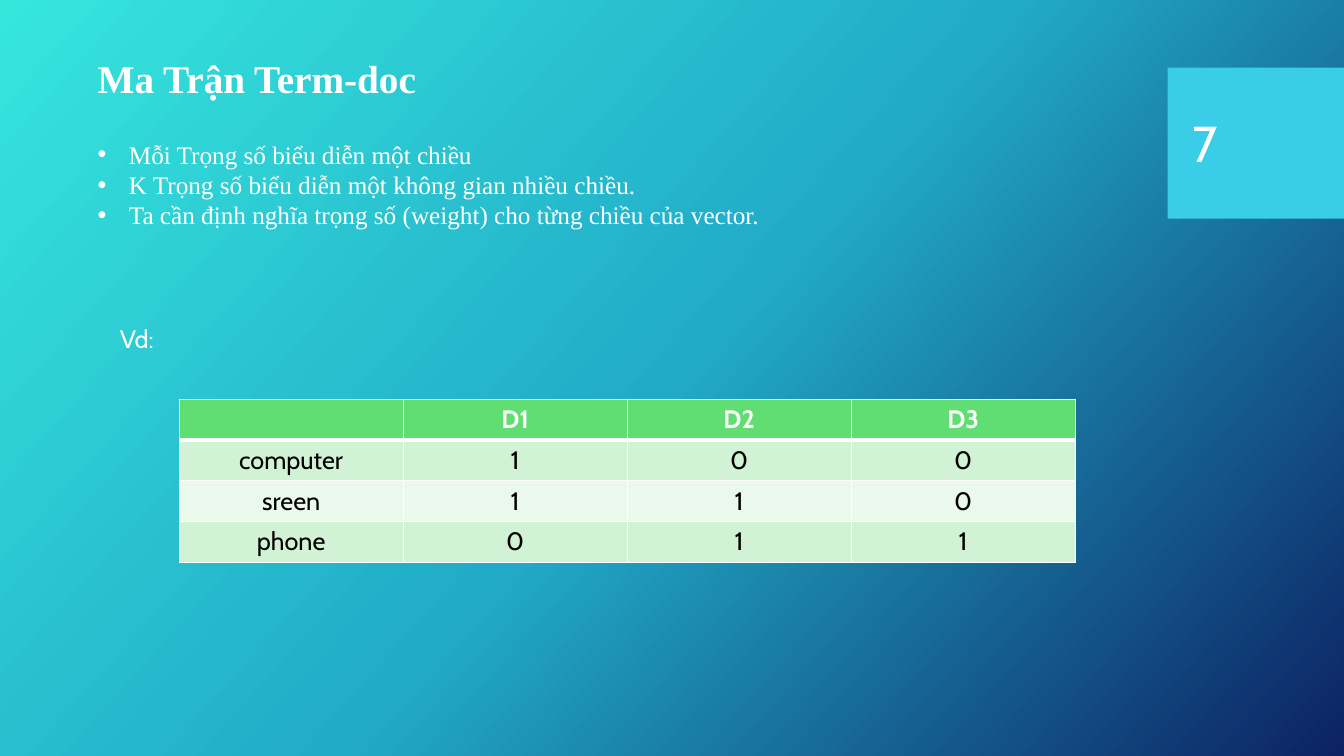
from lxml.etree import SubElement as Sub
from pptx import Presentation
from pptx.dml.color import RGBColor
from pptx.enum.shapes import MSO_SHAPE as Shape
from pptx.enum.text import MSO_ANCHOR as Anchor, MSO_AUTO_SIZE as Fit, PP_ALIGN as Align
from pptx.oxml.ns import qn
from pptx.util import Inches, Pt

WIDE, HIGH = 13.33, 7.5
SERIF, SANS = "Times New Roman", "Cabin"
WHITE, BLACK = "FFFFFF", "000000"
STOPS = [(0, "36E6DD"), (50, "21ABC8"), (100, "0C2263")]
ANGLE = 42
BADGE = (11.58, 0.67, 1.75, 1.5)
HEAD, BANDS = "60DE72", ("D2F2D5", "EAF9EB")
TITLE = "Ma Trận Term-doc"
POINTS = [
    "Mỗi Trọng số biểu diễn một chiều",
    "K Trọng số biểu diễn một không gian nhiều chiều.",
    "Ta cần định nghĩa trọng số (weight) cho từng chiều của vector.",
]
ROWS = [
    ("", "D1", "D2", "D3"),
    ("computer", "1", "0", "0"),
    ("sreen", "1", "1", "0"),
    ("phone", "0", "1", "1"),
]
GRID = (WIDE * 2 / 15, 3.96, WIDE * 2 / 3, 1.62)


def color(text):
    return RGBColor.from_string(text)


def place(box):
    return [Inches(n) for n in box]


def write(para, text, size, face, tint=WHITE, bold=False):
    run = para.add_run()
    run.text = text
    font = run.font
    font.size, font.name, font.bold = Pt(size), face, bold
    font.color.rgb = color(tint)


def label(slide, box, lines, size, face, bold=False, wrap=True, fit=Fit.SHAPE_TO_FIT_TEXT,
          anchor=Anchor.TOP, dots=False):
    frame = slide.shapes.add_textbox(*place(box)).text_frame
    frame.word_wrap, frame.auto_size, frame.vertical_anchor = wrap, fit, anchor
    for i, line in enumerate(lines):
        para = frame.add_paragraph() if i else frame.paragraphs[0]
        if dots:
            props = para._p.get_or_add_pPr()
            props.set("marL", str(Inches(0.31)))
            props.set("indent", str(-Inches(0.31)))
            Sub(props, qn("a:buFont"), typeface="Arial")
            Sub(props, qn("a:buChar"), char="•")
        write(para, line, size, face, bold=bold)


def paint(slide):
    fill = slide.background.fill
    fill.gradient()
    grad = slide._element.find(".//" + qn("a:gradFill"))
    for part in list(grad):
        grad.remove(part)
    stops = Sub(grad, qn("a:gsLst"))
    for pos, tint in STOPS:
        stop = Sub(stops, qn("a:gs"), pos=str(pos * 1000))
        Sub(stop, qn("a:srgbClr"), val=tint)
    Sub(grad, qn("a:lin"), ang=str(ANGLE * 60000), scaled="0")


def edge(cell, side, width):
    line = Sub(cell._tc.get_or_add_tcPr(), qn("a:ln" + side), w=str(Pt(width)))
    Sub(Sub(line, qn("a:solidFill")), qn("a:srgbClr"), val=WHITE)


def matrix(slide):
    count, span = len(ROWS), len(ROWS[0])
    table = slide.shapes.add_table(count, span, *place(GRID)).table
    for col in table.columns:
        col.width = Inches(GRID[2] / span)
    for r, row in enumerate(ROWS):
        table.rows[r].height = Inches(GRID[3] / count)
        for c, text in enumerate(row):
            cell = table.cell(r, c)
            thick = {"T": 3 if r == 1 else 1, "B": 3 if r == 0 else 1}
            for side in "LRTB":
                edge(cell, side, thick.get(side, 1))
            cell.fill.solid()
            cell.fill.fore_color.rgb = color(BANDS[(r - 1) % 2] if r else HEAD)
            para = cell.text_frame.paragraphs[0]
            para.alignment = Align.CENTER
            if text:
                write(para, text, 18, SANS, BLACK if r else WHITE, r == 0)


def main():
    deck = Presentation()
    deck.slide_width, deck.slide_height = Inches(WIDE), Inches(HIGH)
    slide = deck.slides.add_slide(deck.slide_layouts[6])
    paint(slide)
    badge = slide.shapes.add_shape(Shape.RECTANGLE, *place(BADGE))
    badge.shadow.inherit = False
    badge.fill.solid()
    badge.fill.fore_color.rgb = color("39CDE7")
    badge.line.fill.background()
    label(slide, (0.87, 0.49, 3.44, 0.57), [TITLE], 28, SERIF, bold=True, wrap=False)
    label(slide, (0.87, 1.33, 8.89, 1.01), POINTS, 18, SERIF, dots=True)
    matrix(slide)
    label(slide, (11.73, 0.82, 1.26, 1.19), ["7"], 36, SANS, fit=Fit.NONE, anchor=Anchor.MIDDLE)
    label(slide, (1.09, 3.16, 0.58, 0.4), ["Vd:"], 18, SANS, wrap=False)
    deck.save("out.pptx")


if __name__ == "__main__":
    main()
